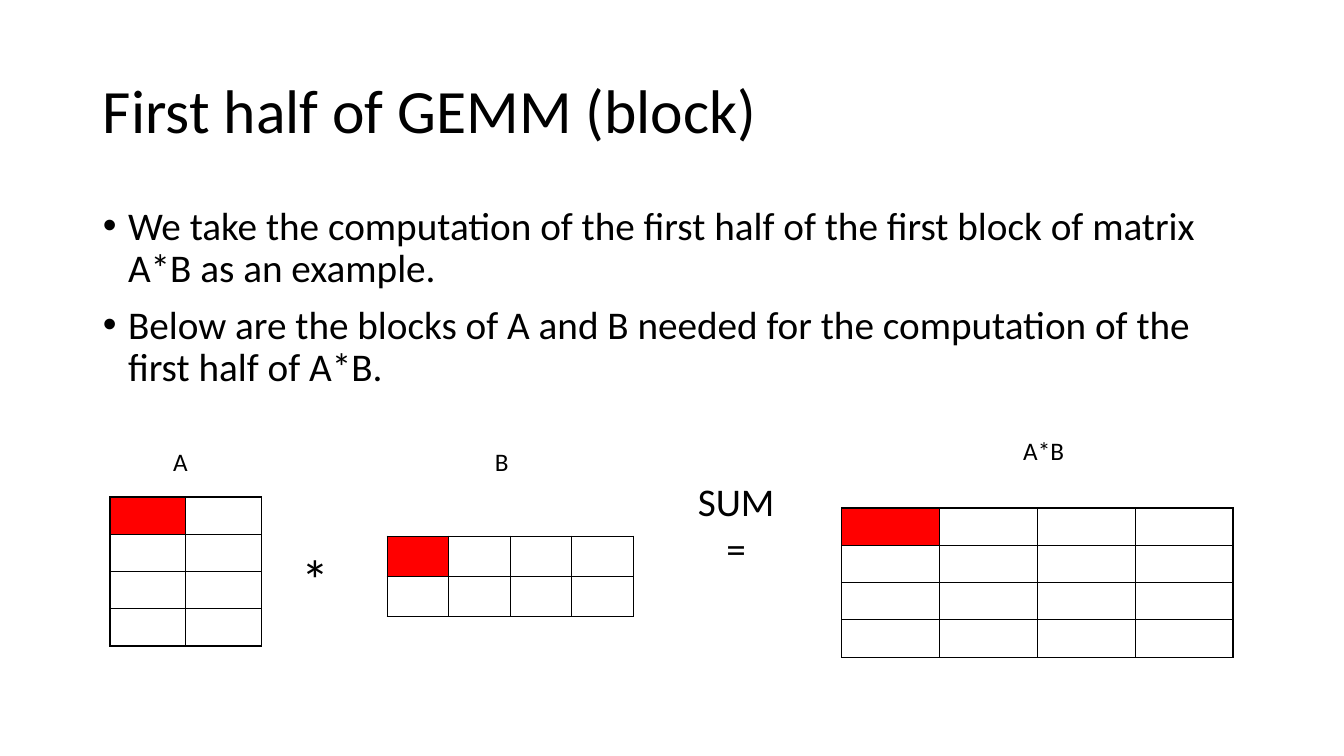
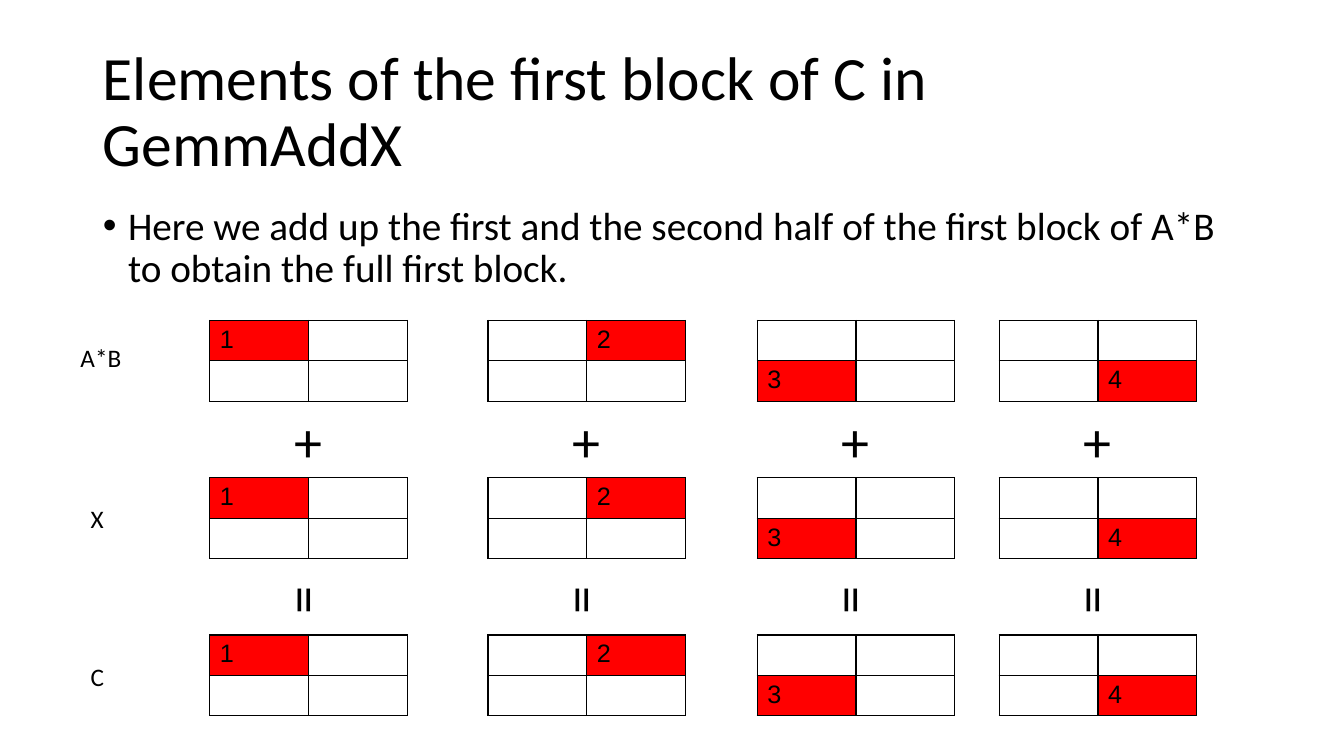
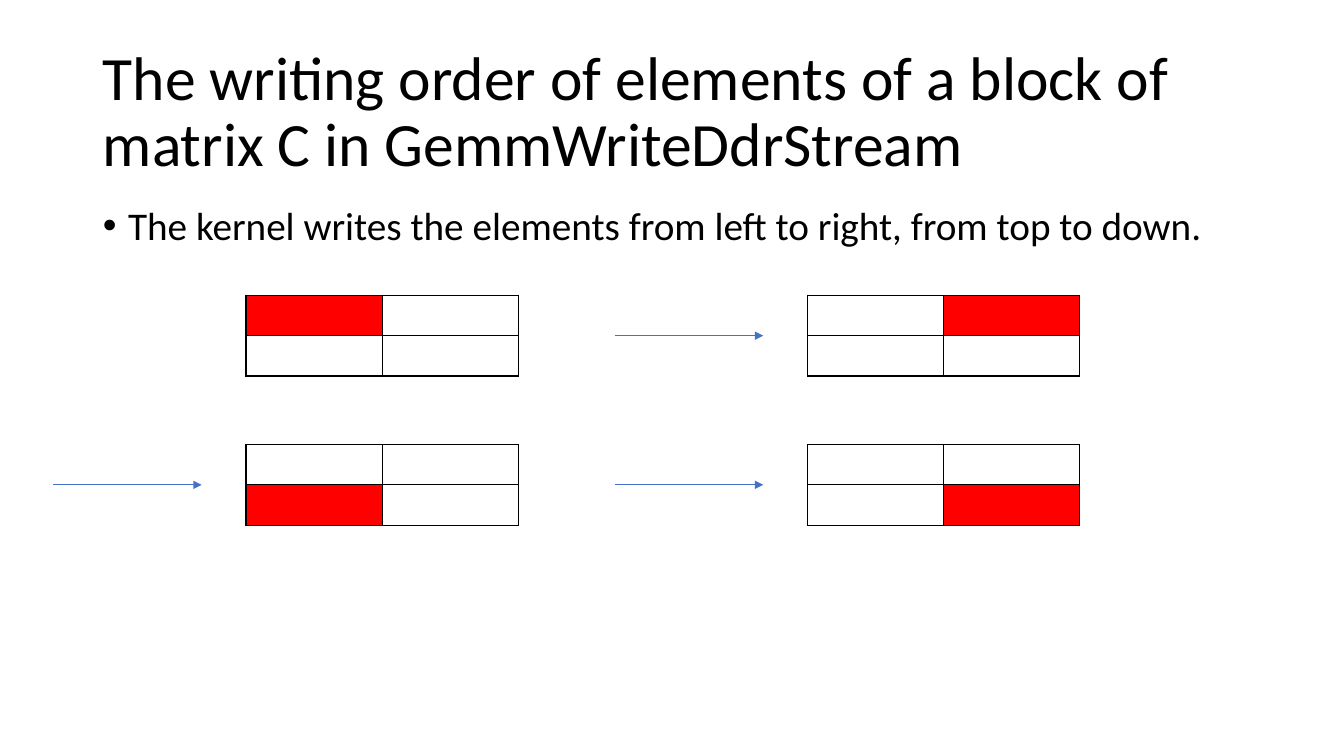
"""Build three slides that show how matrix blocks are multiplied, added and written."""
from itertools import product

from lxml.etree import SubElement
from pptx import Presentation
from pptx.dml.color import RGBColor
from pptx.enum.shapes import MSO_CONNECTOR
from pptx.enum.text import MSO_ANCHOR, MSO_AUTO_SIZE, PP_ALIGN
from pptx.oxml.ns import qn
from pptx.util import Inches, Pt

COLOURS = {"text": "000000", "grid": "000000", "block": "FF0000", "arrow": "4472C4"}


def apply_format(target, formats):
    for attribute, value in formats.items():
        setattr(target, attribute, value)


class Deck:
    FRAME = {
        "word_wrap": True,
        "margin_left": Inches(0.1),
        "margin_right": Inches(0.1),
        "margin_top": Inches(0.05),
        "margin_bottom": Inches(0.05),
    }
    FIXED = {**FRAME, "auto_size": MSO_AUTO_SIZE.NONE}
    GROWING = {**FRAME, "auto_size": MSO_AUTO_SIZE.SHAPE_TO_FIT_TEXT}

    def __init__(self):
        self.presentation = Presentation()
        apply_format(
            self.presentation,
            {"slide_width": Inches(13.33), "slide_height": Inches(7.5)},
        )
        self.slide = None

    def place(self, shape, left, top, width, height):
        apply_format(shape, {
            "left": Inches(left), "top": Inches(top),
            "width": Inches(width), "height": Inches(height),
        })

    def fill_paragraph(self, paragraph, text, size, font="Calibri", **formats):
        apply_format(paragraph, {"alignment": PP_ALIGN.LEFT, "space_before": Pt(0), **formats})
        run = paragraph.add_run()
        run.text = text
        apply_format(run.font, {"name": font, "size": Pt(size), "bold": False})
        run.font.color.rgb = RGBColor.from_string(COLOURS["text"])

    def paragraphs(self, frame, lines):
        for index, line in enumerate(lines):
            yield index, line, frame.add_paragraph() if index else frame.paragraphs[0]

    def add_slide(self, title, points):
        self.slide = self.presentation.slides.add_slide(self.presentation.slide_layouts[1])
        heading, body = self.slide.placeholders
        self.place(heading, 0.92, 0.4, 11.5, 1.45)
        apply_format(heading.text_frame, {**self.FIXED, "vertical_anchor": MSO_ANCHOR.MIDDLE})
        self.fill_paragraph(heading.text_frame.paragraphs[0], title, 44, line_spacing=0.9)
        self.place(body, 0.92, 2, 11.5, 4.76)
        apply_format(body.text_frame, {**self.FIXED, "vertical_anchor": MSO_ANCHOR.TOP})
        for index, point, paragraph in self.paragraphs(body.text_frame, points):
            self.add_bullet(paragraph)
            self.fill_paragraph(paragraph, point, 28, line_spacing=0.9,
                                space_before=Pt(10 if index else 0))

    def add_bullet(self, paragraph):
        properties = paragraph._p.get_or_add_pPr()
        properties.set("marL", str(Inches(0.25)))
        properties.set("indent", str(-Inches(0.25)))
        colour = SubElement(properties, qn("a:buClr"))
        SubElement(colour, qn("a:srgbClr"), val=COLOURS["text"])
        SubElement(properties, qn("a:buFont"), typeface="Arial")
        SubElement(properties, qn("a:buChar"), char="•")

    def add_text(self, lines, left, top, width, height, size=18, align=PP_ALIGN.LEFT, rotation=0):
        box = self.slide.shapes.add_textbox(
            Inches(left), Inches(top), Inches(width), Inches(height))
        box.rotation = rotation
        apply_format(box.text_frame, self.GROWING)
        for _, line, paragraph in self.paragraphs(box.text_frame, lines):
            self.fill_paragraph(paragraph, line, size, alignment=align)

    def add_matrix(self, left, top, rows, columns, cell_width, cell_height,
                   block=(0, 0), number=""):
        matrix = self.slide.shapes.add_table(
            rows, columns, Inches(left), Inches(top),
            Inches(cell_width * columns), Inches(cell_height * rows)).table
        apply_format(matrix, {"first_row": False, "horz_banding": False})
        for position in product(range(rows), range(columns)):
            cell = matrix.cell(*position)
            self.add_borders(cell)
            if position == block:
                cell.fill.solid()
                cell.fill.fore_color.rgb = RGBColor.from_string(COLOURS["block"])
            else:
                cell.fill.background()
            if position == block and number:
                self.fill_paragraph(cell.text_frame.paragraphs[0], number, 18, "Arial")
            else:
                apply_format(cell, {"margin_top": 0, "margin_bottom": 0})

    def add_borders(self, cell):
        properties = cell._tc.get_or_add_tcPr()
        for side in ("lnL", "lnR", "lnT", "lnB"):
            border = SubElement(properties, qn(f"a:{side}"), w=str(Pt(1)))
            fill = SubElement(border, qn("a:solidFill"))
            SubElement(fill, qn("a:srgbClr"), val=COLOURS["grid"])

    def add_arrow(self, left, top, length):
        arrow = self.slide.shapes.add_connector(
            MSO_CONNECTOR.STRAIGHT, Inches(left), Inches(top), Inches(left + length), Inches(top))
        arrow.line.color.rgb = RGBColor.from_string(COLOURS["arrow"])
        arrow.line.width = Pt(0.75)
        properties = arrow._element.spPr
        SubElement(properties.find(qn("a:ln")), qn("a:tailEnd"), type="triangle")
        SubElement(properties, qn("a:effectLst"))


def build_first_half(deck):
    deck.add_slide("First half of GEMM (block)", [
        "We take the computation of the first half of the first block of matrix A*B as an example.",
        "Below are the blocks of A and B needed for the computation of the first half of A*B.",
    ])
    deck.add_matrix(3.84, 5.32, 2, 4, 0.61, 0.4)
    deck.add_matrix(1.09, 4.93, 4, 2, 0.75, 0.37)
    deck.add_matrix(8.35, 5.04, 4, 4, 0.97, 0.37)
    for name, left, top in (("A", 1.62, 4.38), ("B", 4.81, 4.38), ("A*B", 10.05, 4.27)):
        deck.add_text([name], left, top, 0.73, 0.4)
    deck.add_text(["*"], 2.89, 5.35, 0.55, 0.77, size=40)
    deck.add_text(["SUM", "="], 6.49, 4.69, 1.62, 1.04, size=28, align=PP_ALIGN.CENTER)


def build_addition(deck):
    deck.add_slide("Elements of the first block of C in GemmAddX", [
        "Here we add up the first and the second half of the first block of A*B "
        "to obtain the full first block.",
    ])
    for index, left in enumerate((2.08, 4.84, 7.51, 9.91)):
        for term in range(3):
            deck.add_matrix(left, 3.18 + 1.56 * term, 2, 2, 0.98, 0.4,
                            divmod(index, 2), str(index + 1))
        deck.add_text(["+"], left + 0.74, 3.98, 1.51, 0.77, size=40)
        deck.add_text(["="], left + 0.48, 5.84, 1, 0.77, size=40, rotation=90)
    for name, left, top in (("A*B", 0.7, 3.35), ("X", 0.8, 4.94), ("C", 0.8, 6.51)):
        deck.add_text([name], left, top, 1.23, 0.4)


def build_writing_order(deck):
    deck.add_slide(
        "The writing order of elements of a block of matrix C in GemmWriteDdrStream",
        ["The kernel writes the elements from left to right, from top to down."])
    for step, (top, left) in enumerate(product((2.93, 4.41), (2.44, 8.01))):
        deck.add_matrix(left, top, 2, 2, 1.35, 0.4, divmod(step, 2))
        if step:
            deck.add_arrow(left - 1.91, top + 0.4, 1.47)


def main():
    deck = Deck()
    build_first_half(deck)
    build_addition(deck)
    build_writing_order(deck)
    deck.presentation.save("out.pptx")


if __name__ == "__main__":
    main()
